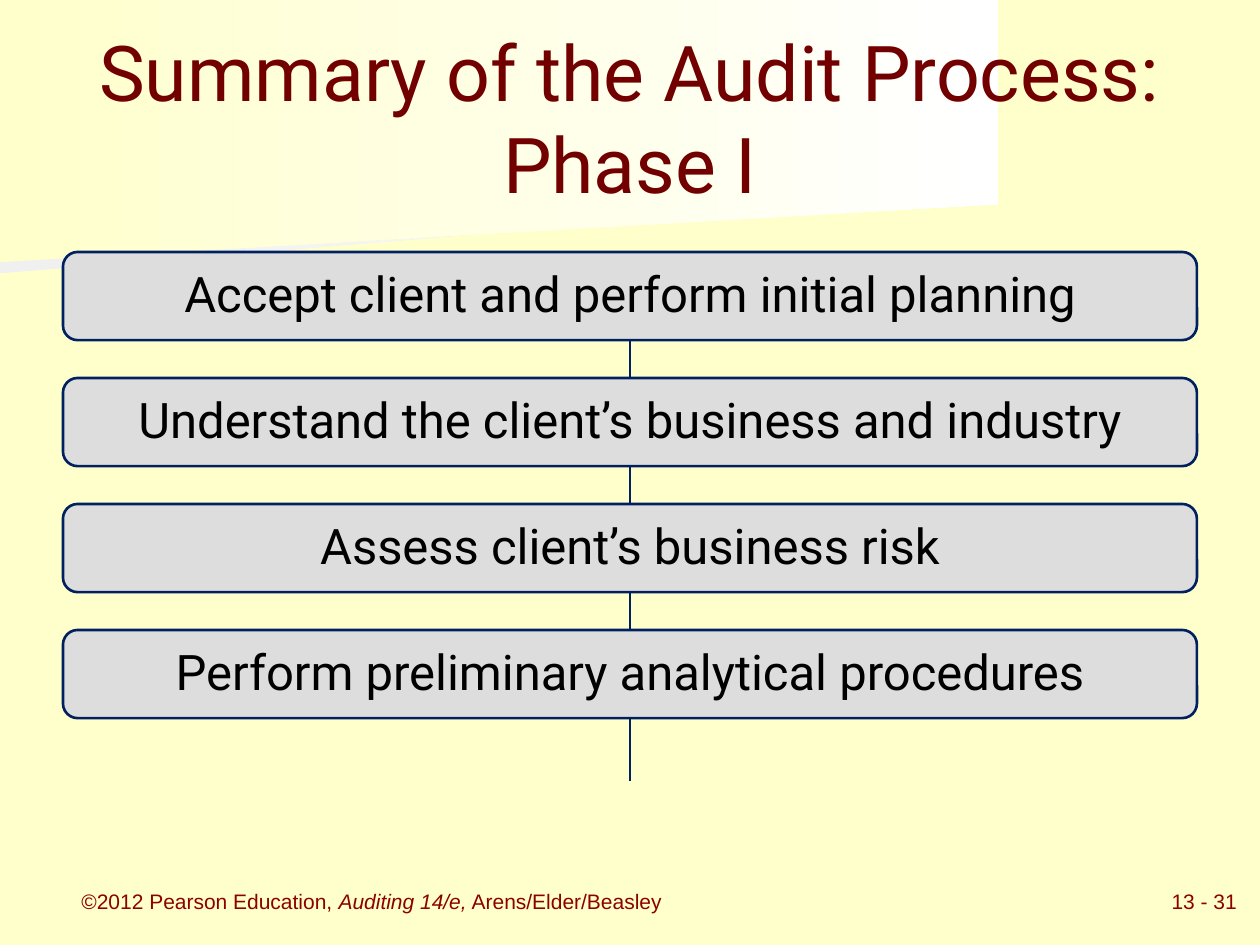
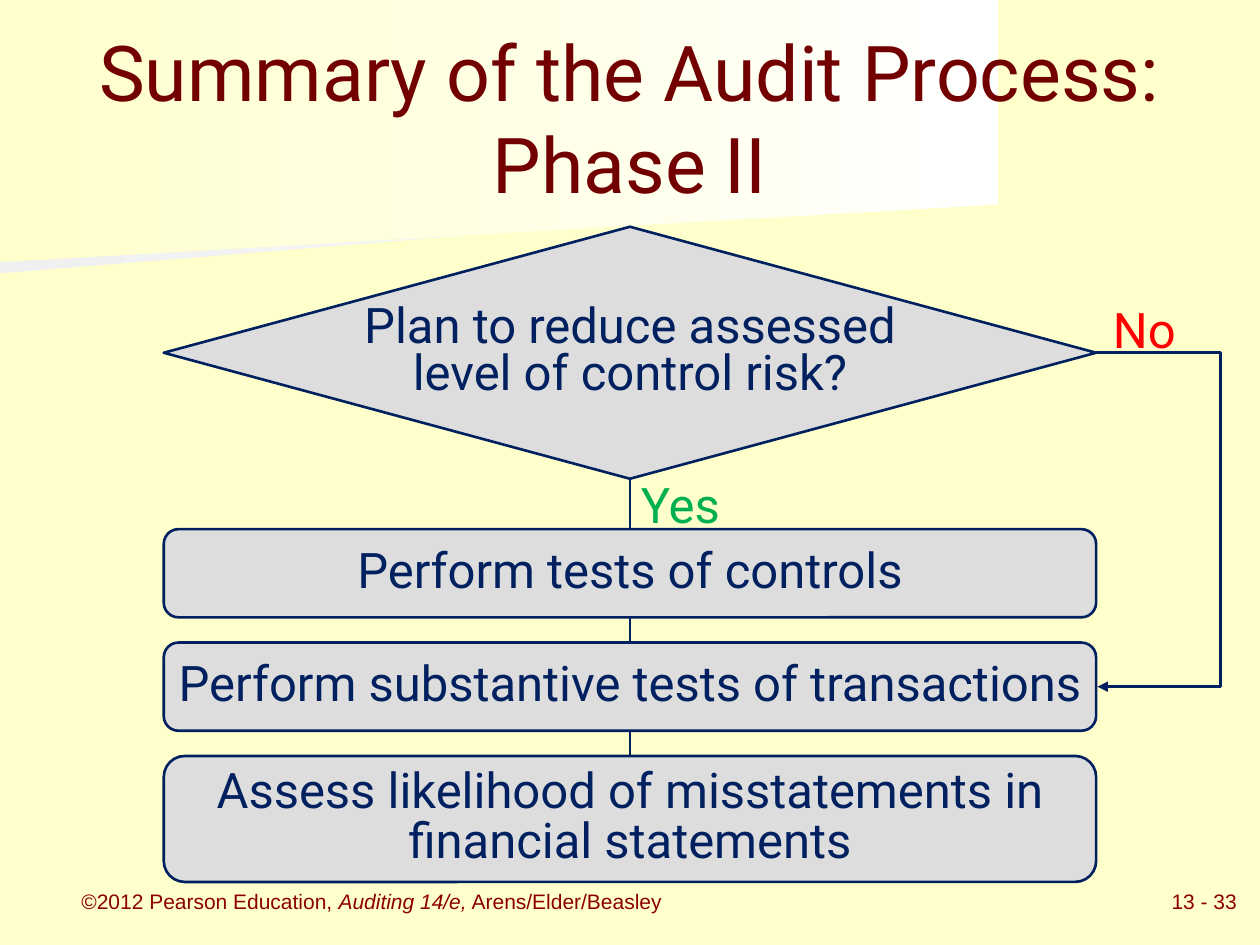
from lxml.etree import SubElement
from pptx import Presentation
from pptx.dml.color import RGBColor
from pptx.enum.shapes import MSO_CONNECTOR, MSO_SHAPE
from pptx.enum.text import MSO_ANCHOR, PP_ALIGN
from pptx.oxml.ns import qn
from pptx.util import Inches, Pt

CREAM = RGBColor(0xFF, 0xFF, 0xCC)
WHITE = RGBColor(0xFF, 0xFF, 0xFF)
SMOKE = RGBColor(0xF0, 0xF0, 0xF0)
GRAY = RGBColor(0xDD, 0xDD, 0xDD)
NAVY = RGBColor(0x00, 0x20, 0x60)
BLACK = RGBColor(0x00, 0x00, 0x00)
MAROON = RGBColor(0x72, 0x00, 0x00)
RUST = RGBColor(0x8C, 0x00, 0x00)
RED = RGBColor(0xFF, 0x00, 0x00)
GREEN = RGBColor(0x00, 0xB0, 0x50)
FONT, SMALL = "Roboto", "Arial"

TITLE = "Summary of the Audit Process: Phase "
CREDIT = ["©2012 Pearson Education, ", "Auditing 14/e,", " Arens/Elder/Beasley"]
BANDS = [
    ([(0, 2.17), (0, 1.01), (7.79, 1.01), (7.78, 1.53)], SMOKE),
    ([(0, 2.08), (0, 0), (7.92, 0), (7.92, 1.62)], CREAM),
]
STEPS = [
    "Accept client and perform initial planning",
    "Understand the client’s business and industry",
    "Assess client’s business risk",
    "Perform preliminary analytical procedures",
]
CHOICE = "Plan to reduce assessed\nlevel of control risk?"
TESTS = [
    ("Perform tests of controls", 0.7),
    ("Perform substantive tests of transactions", 0.7),
    ("Assess likelihood of misstatements in\nfinancial statements", 1),
]
MID = 5


def style(frame, size, font, color, align, space=None):
    frame.vertical_anchor = MSO_ANCHOR.MIDDLE
    for para in frame.paragraphs:
        para.alignment = align
        para.line_spacing = space
        for run in para.runs:
            run.font.size, run.font.name = Pt(size), font
            run.font.color.rgb = color


def label(slide, text, left, top, wide, high, color, align, size=28, font=FONT):
    frame = slide.shapes.add_textbox(*map(Inches, (left, top, wide, high))).text_frame
    frame.word_wrap = False
    frame.text = text
    style(frame, size, font, color, align)
    return frame


def node(slide, kind, text, top, wide, high, color=NAVY, space=0.85, foot=0.05):
    place = map(Inches, (MID - wide / 2, top, wide, high))
    shape = slide.shapes.add_shape(kind, *place)
    shape.shadow.inherit = False
    shape.fill.solid()
    shape.fill.fore_color.rgb = GRAY
    shape.line.color.rgb, shape.line.width = NAVY, Pt(1.5)
    frame = shape.text_frame
    frame.word_wrap = False
    frame.margin_bottom = Inches(foot)
    frame.text = text
    style(frame, 28, FONT, color, PP_ALIGN.CENTER, space)
    return shape


def wire(slide, kind, *ends):
    line = slide.shapes.add_connector(kind, *map(Inches, ends))
    line.line.color.rgb, line.line.width = NAVY, Pt(1.5)
    SubElement(line._element.spPr, qn("a:effectLst"))
    return line


def chain(slide, nodes):
    for above, below in zip(nodes, nodes[1:]):
        line = wire(slide, MSO_CONNECTOR.STRAIGHT, 0, 0, 0, 0)
        line.begin_connect(above, 2)
        line.end_connect(below, 0)


def start(deck, phase, page):
    slide = deck.slides.add_slide(deck.slide_layouts[5])
    for points, tint in BANDS:
        spots = [(Inches(x), Inches(y)) for x, y in points]
        pen = slide.shapes.build_freeform(*spots[0])
        pen.add_line_segments(spots[1:], close=True)
        band = pen.convert_to_shape()
        band.shadow.inherit = False
        band.line.fill.background()
        band.fill.gradient()
        band.fill.gradient_angle = 0
        for stop, color, spot in zip(band.fill.gradient_stops, (tint, WHITE), (0, 1)):
            stop.color.rgb = color
            stop.position = spot
    foot = label(slide, "", 0, 7, 5.9, 0.3, RUST, PP_ALIGN.CENTER)
    for part in CREDIT:
        run = foot.paragraphs[0].add_run()
        run.text = part
        run.font.italic = part == CREDIT[1]
    style(foot, 12, SMALL, RUST, PP_ALIGN.CENTER)
    label(slide, f"13 - {page}", 9.2, 7, 0.8, 0.3, RUST, PP_ALIGN.LEFT, 12, SMALL)
    title = slide.shapes.title
    title._element.getparent().append(title._element)
    title.left, title.top = Inches(0.5), Inches(0.3)
    title.width, title.height = Inches(9), Inches(1.25)
    title.text_frame.text = TITLE + phase
    style(title.text_frame, 44, FONT, MAROON, PP_ALIGN.CENTER)
    return slide


def first(deck):
    slide = start(deck, "I", 31)
    nodes = [node(slide, MSO_SHAPE.ROUNDED_RECTANGLE, text, 2 + i, 9, 0.7, BLACK, None, 0.1)
             for i, text in enumerate(STEPS)]
    chain(slide, nodes)
    tail = wire(slide, MSO_CONNECTOR.STRAIGHT, MID, 5.7, MID, 6.2)
    tail.begin_connect(nodes[-1], 2)


def second(deck):
    slide = start(deck, "II", 33)
    nodes = [node(slide, MSO_SHAPE.DIAMOND, CHOICE, 1.8, 7.4, 2, space=0.8)]
    top = 4.2
    for text, high in TESTS:
        nodes.append(node(slide, MSO_SHAPE.ROUNDED_RECTANGLE, text, top, 7.4, high))
        top += high + 0.2
    chain(slide, nodes)
    label(slide, "Yes", 4.9, 3.75, 1, 0.5, GREEN, PP_ALIGN.CENTER)
    label(slide, "No", 8.63, 2.36, 0.8, 0.5, RED, PP_ALIGN.RIGHT)
    edge, step, reach = 8.7, 0.01, 1
    skip = wire(slide, MSO_CONNECTOR.ELBOW, edge, 2.8, edge + step, 5.45)
    bend = skip._element.spPr.find(qn("a:prstGeom")).find(qn("a:avLst"))
    SubElement(bend, qn("a:gd"), name="adj1", fmla=f"val {round(reach / step * 100000)}")
    SubElement(skip.line._get_or_add_ln(), qn("a:tailEnd"), type="triangle")


def main():
    """Build the two audit process slides."""
    deck = Presentation()
    deck.slide_width, deck.slide_height = Inches(10), Inches(7.5)
    back = deck.slide_master.background.fill
    back.solid()
    back.fore_color.rgb = CREAM
    first(deck)
    second(deck)
    deck.save("out.pptx")


if __name__ == "__main__":
    main()
